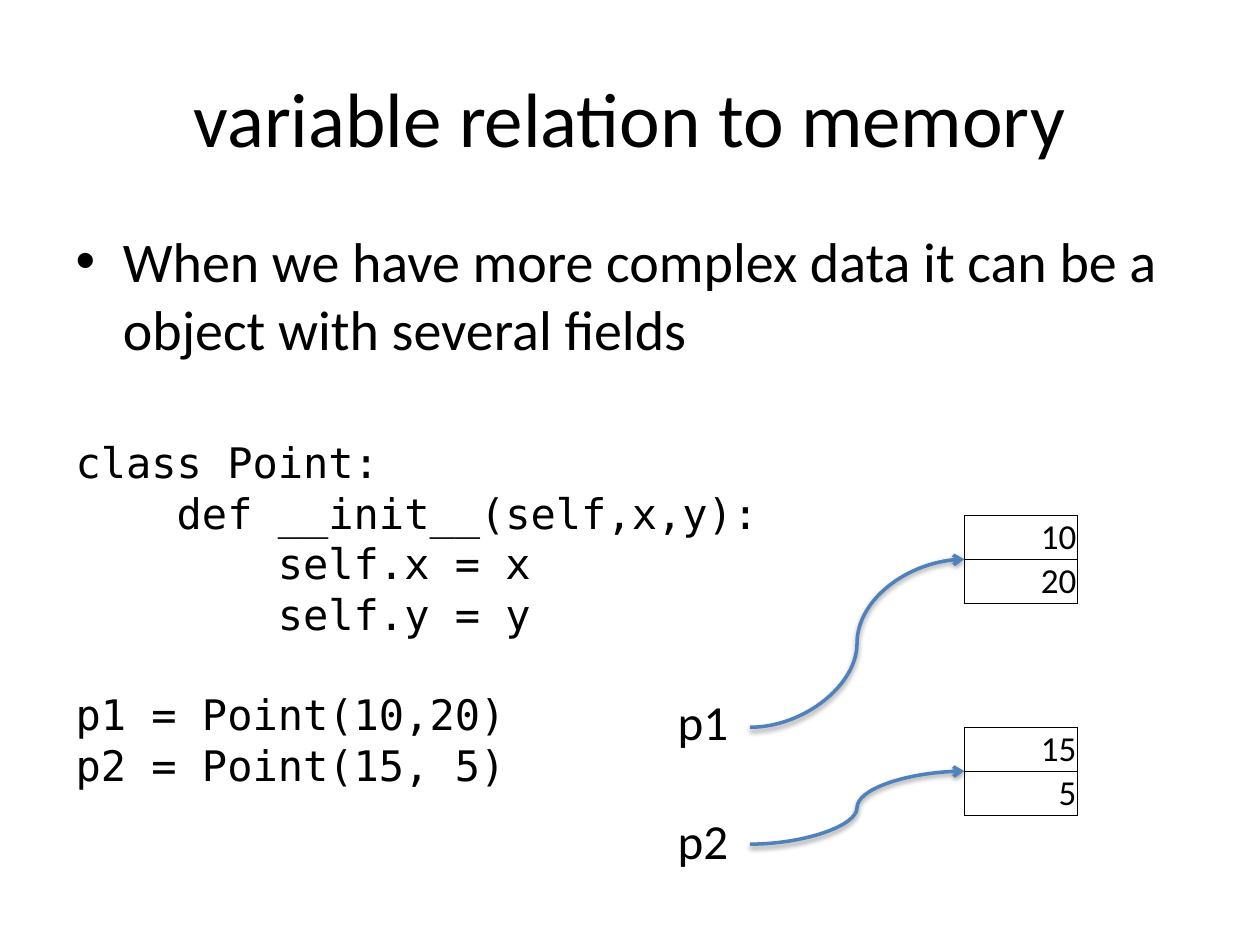
from lxml import etree
from pptx import Presentation
from pptx.dml.color import RGBColor
from pptx.enum.shapes import MSO_CONNECTOR
from pptx.enum.text import MSO_ANCHOR, MSO_AUTO_SIZE, PP_ALIGN
from pptx.oxml import parse_xml
from pptx.oxml.ns import qn
from pptx.util import Pt

BLACK = RGBColor(0x00, 0x00, 0x00)
BLUE = RGBColor(0x4F, 0x81, 0xBD)
CENTER, RIGHT = PP_ALIGN.CENTER, PP_ALIGN.RIGHT
MIDDLE, BOTTOM = MSO_ANCHOR.MIDDLE, MSO_ANCHOR.BOTTOM
NO_FIT = MSO_AUTO_SIZE.NONE
CURVE = MSO_CONNECTOR.CURVE
SANS, MONO = "Calibri", "DejaVu Sans Mono"
NS = 'xmlns:a="http://schemas.openxmlformats.org/drawingml/2006/main"'
SHADOW = (f'<a:effectLst {NS}><a:outerShdw blurRad="{Pt(3.1)}" dist="{Pt(1.6)}" '
          'dir="5400000" rotWithShape="0"><a:srgbClr val="000000">'
          '<a:alpha val="38000"/></a:srgbClr></a:outerShdw></a:effectLst>')


def write(tf, text, size, font=SANS, align=None, before=None, spacing=None, margin=None):
    """Add a paragraph; a margin makes it plain, without a bullet."""
    p = tf.paragraphs[0] if not tf.text else tf.add_paragraph()
    if align is not None:
        p.alignment = align
    if before is not None:
        p.space_before = Pt(before)
    if spacing is not None:
        p.line_spacing = Pt(spacing)
    if margin is not None:
        pPr = p._p.get_or_add_pPr()
        pPr.set("marL", str(Pt(margin)))
        pPr.set("indent", "0")
        etree.SubElement(pPr, qn("a:buNone"))
    r = p.add_run()
    r.text = text
    r.font.size = Pt(size)
    r.font.name = font
    r.font.color.rgb = BLACK


prs = Presentation()
prs.slide_width, prs.slide_height = Pt(720), Pt(540)
s = prs.slides.add_slide(prs.slide_layouts[1])
title, body = s.placeholders

# Title
title.left, title.top, title.width, title.height = Pt(36), Pt(21.6), Pt(648), Pt(90)
title.text_frame.vertical_anchor = MIDDLE
write(title.text_frame, "variable relation to memory", 44, align=CENTER)

# Bullet and code
body.left, body.top, body.width, body.height = Pt(36), Pt(126), Pt(648), Pt(356.4)
tf = body.text_frame
tf.auto_size = NO_FIT
write(tf, "When we have more complex data it can be a object with several fields", 32)

LINE = 28.8    # height of a code line
INDENT = 57.8  # width of four code characters
code = [  # text, indent level, space before
    ("class Point:", 0, 43.2),
    ("def __init__(self,x,y):", 1, 0),
    ("self.x = x", 2, 0),
    ("self.y = y", 2, 0),
    ("p1 = Point(10,20)", 0, LINE),
    ("p2 = Point(15, 5)", 0, 0),
]
for text, level, before in code:
    write(tf, text, 24, MONO, before=before, spacing=LINE, margin=level * INDENT)

# Variable names
names = s.shapes.add_textbox(Pt(380.2), Pt(391.7), Pt(88.6), Pt(108.7))
names.text_frame.word_wrap = True
write(names.text_frame, "p1", 28)
write(names.text_frame, "p2", 28, before=34.2)

# Objects in memory, each with an arrow from its variable
ROW = 25.1
TABLE_X, NAME_X = 551, 428.5
for values, top, name_y in [(("10", "20"), 294.5, 415.6), (("15", "5"), 415.6, 482.4)]:
    table = s.shapes.add_table(2, 1, Pt(TABLE_X), Pt(top), Pt(64.8), Pt(2 * ROW)).table
    table.first_row = table.horz_banding = False
    for i, value in enumerate(values):
        table.rows[i].height = Pt(ROW)
        cell = table.cell(i, 0)
        cell.margin_left = cell.margin_right = cell.margin_top = Pt(0.72)
        cell.margin_bottom = 0
        cell.vertical_anchor = BOTTOM
        write(cell.text_frame, value, 20, align=RIGHT)
        tcPr = cell._tc.get_or_add_tcPr()
        for side in "LRTB":
            tcPr.append(parse_xml(
                f'<a:ln{side} {NS} w="{Pt(0.5)}"><a:solidFill><a:srgbClr val="{BLACK}"/>'
                f'</a:solidFill></a:ln{side}>'))
        cell.fill.background()

    arrow = s.shapes.add_connector(CURVE, Pt(NAME_X), Pt(name_y), Pt(TABLE_X), Pt(top + ROW))
    arrow.line.color.rgb = BLUE
    arrow.line.width = Pt(2)
    etree.SubElement(arrow.line._get_or_add_ln(), qn("a:tailEnd"), type="arrow")
    arrow._element.spPr.append(parse_xml(SHADOW))

prs.save("out.pptx")
